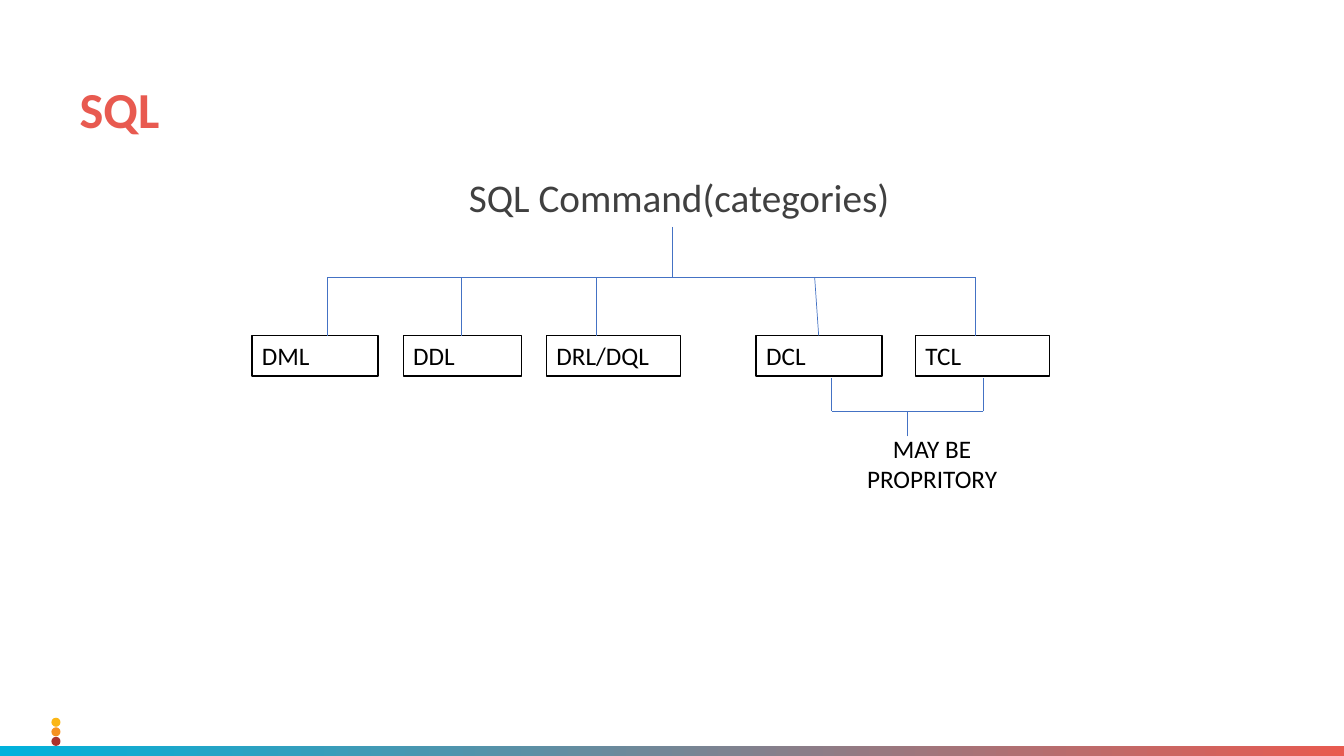
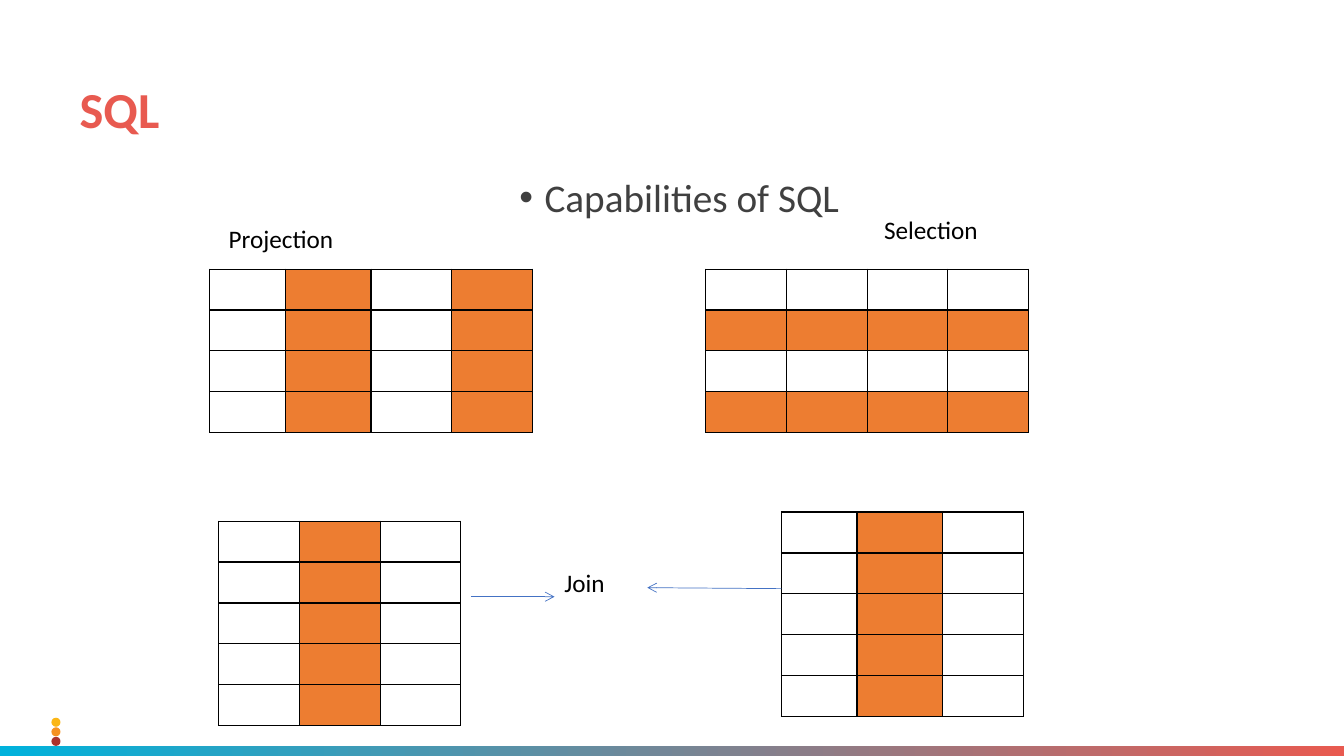
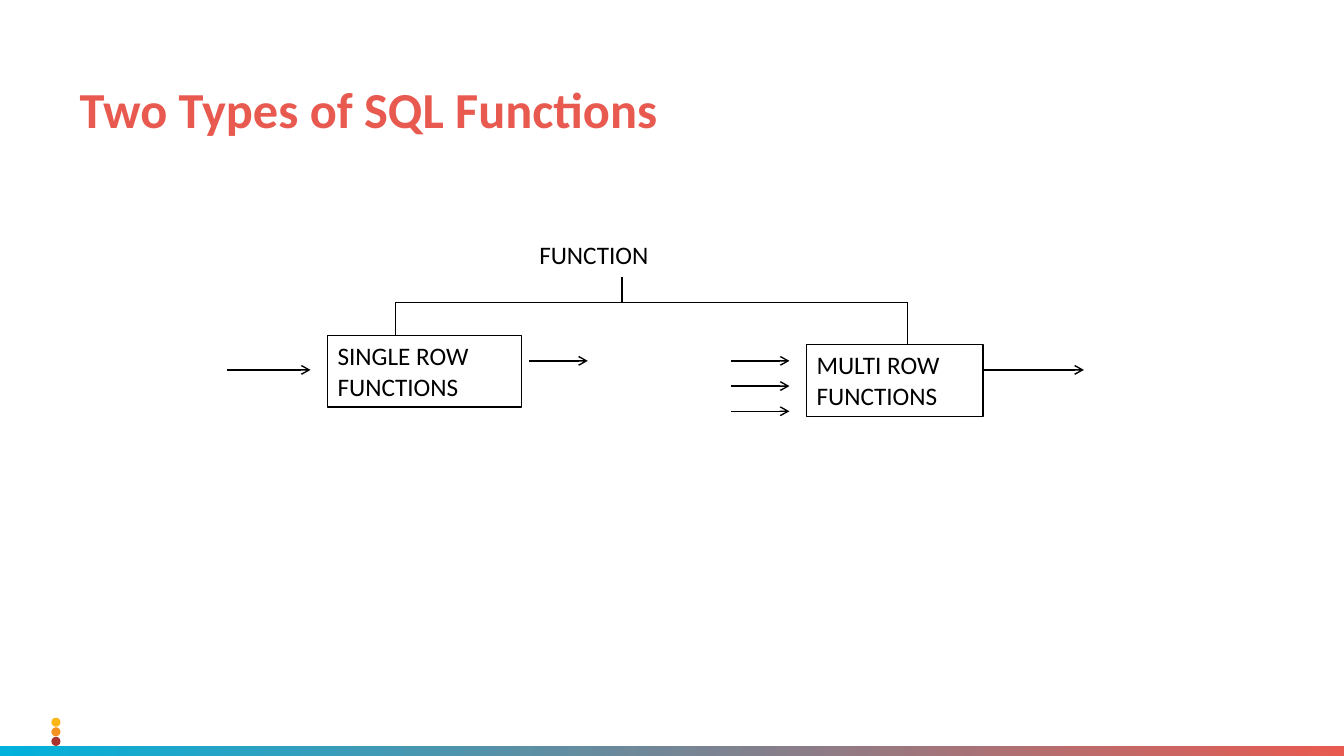
"""Build three SQL slides: command categories, capabilities and function types."""
from dataclasses import dataclass

from lxml.etree import SubElement
from pptx import Presentation
from pptx.dml.color import RGBColor
from pptx.enum.shapes import MSO_CONNECTOR as Connector, MSO_SHAPE as Preset
from pptx.enum.text import MSO_ANCHOR as Anchor, MSO_AUTO_SIZE as AutoSize, PP_ALIGN as Align
from pptx.oxml import parse_xml
from pptx.oxml.ns import nsdecls, qn
from pptx.util import Inches, Pt


@dataclass(frozen=True)
class Theme:
    font: str = "Calibri"
    title: str = "E85A50"
    heading: str = "404040"
    ink: str = "000000"
    paper: str = "FFFFFF"
    blue: str = "4472C4"
    orange: str = "ED7D31"
    band: tuple = ("00B2DC", "E85A50")
    dots: tuple = ("FBB615", "F59120", "AC322C")
    title_size: int = 36
    heading_size: int = 28
    text_size: int = 18
    thin: float = 0.5
    normal: float = 1


THEME = Theme()
BLUE_PEN = (THEME.blue, THEME.thin)
BLACK_PEN = (THEME.ink, THEME.normal)

COMMANDS = [
    ("DML", 2.5, 1.25), ("DDL", 4, 1.17), ("DRL/DQL", 5.42, 1.33),
    ("DCL", 7.5, 1.25), ("TCL", 9.08, 1.33),
]
COMMAND_TOP, COMMAND_HEIGHT = 3.33, 0.4
COMMAND_DROPS = [(3.25, 3.25), (4.58, 4.58), (5.92, 5.92), (8.08, 8.12), (9.67, 9.67)]
PROPRIETARY_DROPS = [(8.25, 8.25, 3.75), (9.75, 9.75, 3.75)]

EVEN, UNEVEN = [0.8] * 4, [0.75, 0.85, 0.8, 0.8]
GRIDS = [
    (2.08, 2.67, UNEVEN, 4, 1.62, lambda row, column: column % 2),
    (2.17, 5.17, EVEN[:3], 5, 2.03, lambda row, column: column == 1),
    (7, 2.67, EVEN, 4, 1.62, lambda row, column: row % 2),
    (7.75, 5.08, UNEVEN[:3], 5, 2.03, lambda row, column: column == 1),
]
GRID_LABELS = [
    ("Projection", 2.17, 2.17, 1.92, 0.4),
    ("Selection", 8.67, 2.08, 1.75, 0.42),
    ("Join", 5.5, 5.58, 0.83, 0.4),
]
JOIN_ARROWS = [((4.67, 5.92), (5.5, 5.92)), ((7.75, 5.84), (6.42, 5.83))]

FUNCTION_BOXES = [
    ("SINGLE ROW FUNCTIONS", 3.25, 3.33, 1.92, 0.71),
    ("MULTI ROW FUNCTIONS", 8, 3.42, 1.75, 0.71),
]
FUNCTION_DROPS = [(3.92, 3.92, 3.33), (9, 9, 3.42)]
ROW_ARROWS = [(2.25, 3.08, 3.67), (5.25, 5.83, 3.58), (9.75, 10.75, 3.67)]
ROW_ARROWS += [(7.25, 7.83, 3.58 + 0.25 * step) for step in range(3)]


def color(code):
    return RGBColor.from_string(code)


def place(*lengths):
    return [Inches(length) for length in lengths]


def style(para, size, ink, bold=False, align=Align.LEFT):
    para.font.name, para.font.size, para.font.bold = THEME.font, Pt(size), bold
    para.font.color.rgb = color(ink)
    para.alignment = align


def add_preset(page, preset, area, fill=None):
    shape = page.shapes.add_shape(preset, *place(*area))
    shape.shadow.inherit = False
    shape.line.fill.background()
    if fill:
        shape.fill.solid()
        shape.fill.fore_color.rgb = color(fill)
    return shape


def write(shape, text, align=Align.LEFT):
    frame = shape.text_frame
    frame.word_wrap, frame.vertical_anchor = True, Anchor.TOP
    para = frame.paragraphs[0]
    para.text = text
    style(para, THEME.text_size, THEME.ink, align=align)
    return para


def add_label(page, text, *area, align=Align.LEFT):
    return write(page.shapes.add_textbox(*place(*area)), text, align)


def add_box(page, text, *area):
    box = add_preset(page, Preset.RECTANGLE, area, THEME.paper)
    box.line.color.rgb, box.line.width = color(THEME.ink), Pt(THEME.normal)
    write(box, text)


def add_line(page, start, end, pen, arrow=False):
    line = page.shapes.add_connector(Connector.STRAIGHT, *place(*start, *end))
    line.line.color.rgb, line.line.width = color(pen[0]), Pt(pen[1])
    if arrow:
        SubElement(line.line._get_or_add_ln(), qn("a:tailEnd"), type="arrow")
    SubElement(line.element.spPr, qn("a:effectLst"))


def add_bracket(page, stem_x, stem_end, bar_y, drops, pen):
    ends = [drop[0] for drop in drops]
    add_line(page, (stem_x, stem_end), (stem_x, bar_y), pen)
    add_line(page, (min(ends), bar_y), (max(ends), bar_y), pen)
    for bar_x, box_x, box_y in drops:
        add_line(page, (bar_x, bar_y), (box_x, box_y), pen)


def add_heading(page, text, bullet=False):
    para = add_label(page, text, 0.69, 1.72, 12.09, 4.76)
    style(para, THEME.heading_size, THEME.heading, align=Align.CENTER)
    para.line_spacing, para.space_before = 0.9, Pt(10)
    properties = para._p.get_or_add_pPr()
    properties.set("marL", str(Inches(0.25)))
    properties.set("indent", str(-Inches(0.25)))
    if bullet:
        SubElement(properties, qn("a:buFont"), typeface="Arial")
        SubElement(properties, qn("a:buChar"), char="•")


def border_cell(cell):
    properties = cell._tc.get_or_add_tcPr()
    for index, side in enumerate("LRTB"):
        properties.insert(index, parse_xml(
            f'<a:ln{side} {nsdecls("a")} w="{Pt(THEME.normal)}"><a:solidFill>'
            f'<a:srgbClr val="{THEME.ink}"/></a:solidFill></a:ln{side}>'))


def add_grid(page, left, top, widths, rows, height, is_marked):
    area = place(left, top, sum(widths), height)
    table = page.shapes.add_table(rows, len(widths), *area).table
    table.first_row = table.horz_banding = False
    for column, width in zip(table.columns, widths):
        column.width = Inches(width)
    for row in range(rows):
        for column in range(len(widths)):
            cell = table.cell(row, column)
            if is_marked(row, column):
                cell.fill.solid()
                cell.fill.fore_color.rgb = color(THEME.orange)
            else:
                cell.fill.background()
            border_cell(cell)


def add_footer(page):
    for index, dot in enumerate(THEME.dots):
        add_preset(page, Preset.OVAL, (0.51, 7.12 + 0.19 * index / 2, 0.09, 0.09), dot)
    band = add_preset(page, Preset.RECTANGLE, (0, 7.4, 13.33, 0.1))
    band.fill.gradient()
    band.fill.gradient_angle = 0
    for stop, code in zip(band.fill.gradient_stops, THEME.band):
        stop.color.rgb = color(code)


def add_page(deck, text):
    page = deck.slides.add_slide(deck.slide_layouts[5])
    add_footer(page)
    title = page.shapes.title
    title.left, title.top, title.width, title.height = place(0.69, 0.79, 12.09, 0.74)
    para = write(title, text)
    title.text_frame.auto_size = AutoSize.NONE
    style(para, THEME.title_size, THEME.title, bold=True)
    para.line_spacing = 0.9
    return page


def build_categories(deck):
    page = add_page(deck, "SQL")
    add_heading(page, "SQL Command(categories)")
    for text, left, width in COMMANDS:
        add_box(page, text, left, COMMAND_TOP, width, COMMAND_HEIGHT)
    drops = [(*drop, COMMAND_TOP) for drop in COMMAND_DROPS]
    add_bracket(page, 6.67, 2.25, 2.75, drops, BLUE_PEN)
    add_bracket(page, 9, 4.33, 4.08, PROPRIETARY_DROPS, BLUE_PEN)
    add_label(page, "MAY BE PROPRITORY", 8.33, 4.25, 1.83, 0.71, align=Align.CENTER)


def build_capabilities(deck):
    page = add_page(deck, "SQL")
    add_heading(page, "Capabilities of SQL", bullet=True)
    for grid in GRIDS:
        add_grid(page, *grid)
    for label in GRID_LABELS:
        add_label(page, *label)
    for start, end in JOIN_ARROWS:
        add_line(page, start, end, BLUE_PEN, arrow=True)


def build_functions(deck):
    page = add_page(deck, "Two Types of SQL Functions")
    add_label(page, "FUNCTION", 5.25, 2.33, 2.42, 0.4)
    for box in FUNCTION_BOXES:
        add_box(page, *box)
    add_bracket(page, 6.17, 2.75, 3, FUNCTION_DROPS, BLACK_PEN)
    for left, right, y in ROW_ARROWS:
        add_line(page, (left, y), (right, y), BLACK_PEN, arrow=True)


def main():
    deck = Presentation()
    deck.slide_width, deck.slide_height = place(13.33, 7.5)
    for build in (build_categories, build_capabilities, build_functions):
        build(deck)
    deck.save("out.pptx")


if __name__ == "__main__":
    main()
